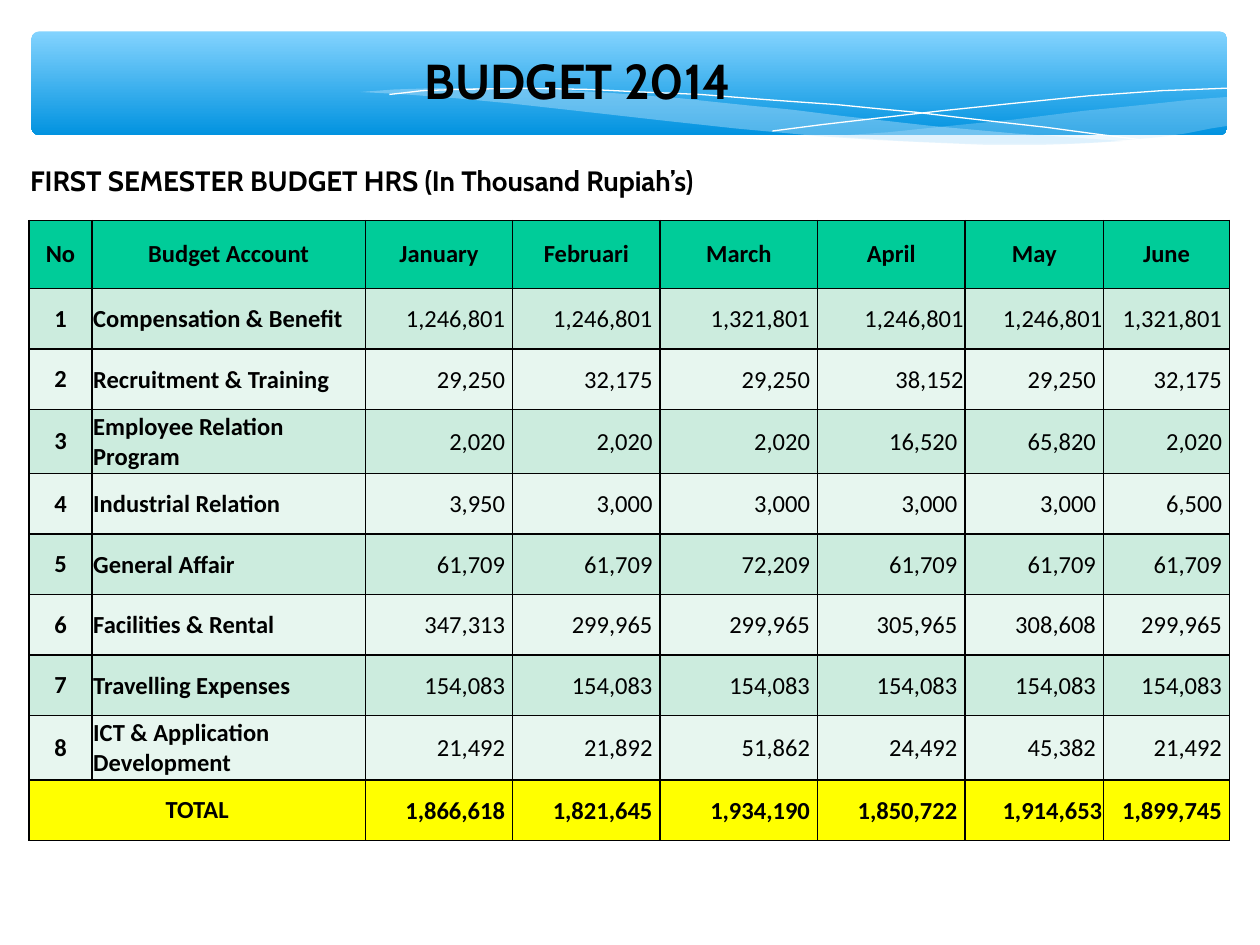
"""Build the first semester budget slide with its banner and monthly table."""
import lxml.etree
import pptx
import pptx.dml.color
import pptx.enum.shapes
import pptx.enum.text
import pptx.oxml.ns
import pptx.util

Inches = pptx.util.Inches
Pt = pptx.util.Pt
ALIGN = pptx.enum.text.PP_ALIGN
MIDDLE = pptx.enum.text.MSO_ANCHOR.MIDDLE
qn = pptx.oxml.ns.qn


def rgb(value):
    return pptx.dml.color.RGBColor.from_string(value)


def write(frame, text, font, size, align, bold=True):
    frame.word_wrap = True
    paragraph = frame.paragraphs[0]
    paragraph.text = text
    paragraph.alignment = align
    paragraph.font.name = font
    paragraph.font.size = Pt(size)
    paragraph.font.bold = bold
    paragraph.font.color.rgb = rgb("000000")


deck = pptx.Presentation()
deck.slide_width, deck.slide_height = Inches(10), Inches(7.5)
slide = deck.slides.add_slide(deck.slide_layouts[6])

banner = slide.shapes.add_shape(
    pptx.enum.shapes.MSO_SHAPE.ROUNDED_RECTANGLE,
    Inches(0.25), Inches(0.25), Inches(9.49), Inches(0.82))
banner.adjustments[0] = 0.07
banner.shadow.inherit = False
banner.line.fill.background()
banner.fill.gradient()
banner.fill.gradient_angle = 270
for stop, color, position in zip(banner.fill.gradient_stops, ("83D3FE", "0293E0"), (0, 1)):
    stop.color.rgb = rgb(color)
    stop.position = position

right_wave = [
    (9.74, 0.77), (9.47, 0.79), (9.19, 0.82), (8.9, 0.85), (8.6, 0.88), (8.04, 0.95),
    (7.53, 1), (7.05, 1.05), (6.61, 1.08), (6.91, 1.1), (7.18, 1.12), (7.44, 1.13),
    (7.68, 1.14), (8.02, 1.14), (8.43, 1.14), (8.71, 1.13), (8.96, 1.11), (9.19, 1.09),
    (9.41, 1.06), (9.61, 1.02), (9.74, 1)]
wide_wave = [
    (8.91, 1.12), (8.64, 1.1), (8.06, 1.06), (7.4, 1), (6.68, 0.92), (6.28, 0.87),
    (5.97, 0.84), (5.68, 0.81), (5.4, 0.78), (5.14, 0.76), (4.88, 0.74), (4.41, 0.71),
    (3.99, 0.7), (3.44, 0.7), (3.13, 0.71), (2.86, 0.73), (3.23, 0.75), (3.62, 0.78),
    (4.04, 0.82), (4.49, 0.87), (5.29, 0.96), (5.84, 1.02), (6.17, 1.05), (6.49, 1.08),
    (6.94, 1.11), (7.35, 1.13), (7.83, 1.15), (8.27, 1.15), (8.56, 1.14)]
falling_curve = [
    (3.09, 0.75), (3.18, 0.74), (3.35, 0.72), (3.63, 0.71), (4.16, 0.7), (4.68, 0.71),
    (5.09, 0.73), (5.56, 0.75), (6.07, 0.79), (6.35, 0.81), (6.64, 0.83), (6.94, 0.86),
    (7.26, 0.89), (7.59, 0.93), (7.94, 0.97), (8.3, 1.01), (8.67, 1.06), (9.06, 1.11)]
rising_curve = [
    (6.13, 1.04), (6.52, 0.99), (6.95, 0.94), (7.47, 0.88), (8.05, 0.82), (8.35, 0.79),
    (8.65, 0.76), (8.94, 0.74), (9.22, 0.72), (9.49, 0.71), (9.74, 0.7)]

for points, opacity in ((right_wave, 29), (wide_wave, 40),
                        (falling_curve, None), (rising_curve, None)):
    start, *rest = [(Inches(x), Inches(y)) for x, y in points]
    outline = slide.shapes.build_freeform(*start)
    outline.add_line_segments(rest, close=opacity is not None)
    swoosh = outline.convert_to_shape()
    swoosh.shadow.inherit = False
    if opacity is None:
        swoosh.fill.background()
        swoosh.line.color.rgb = rgb("FFFFFF")
        swoosh.line.width = Pt(0.75)
    else:
        swoosh.line.fill.background()
        swoosh.fill.solid()
        swoosh.fill.fore_color.rgb = rgb("C6E7FC")
        tint = swoosh.element.spPr.find(qn("a:solidFill"))[0]
        lxml.etree.SubElement(tint, qn("a:alpha"), val=str(opacity * 1000))

title = slide.shapes.add_textbox(Inches(0.25), Inches(0.17), Inches(8.67), Inches(0.92))
title.text_frame.vertical_anchor = MIDDLE
write(title.text_frame, "BUDGET 2014", "Cabin", 28, ALIGN.CENTER)

subtitle = slide.shapes.add_textbox(Inches(0.14), Inches(1.25), Inches(9.44), Inches(0.37))
write(subtitle.text_frame, "FIRST SEMESTER BUDGET HRS (In Thousand Rupiah’s)",
      "Cabin", 16, ALIGN.LEFT)

rows = [
    ["No", "Budget Account", "January", "Februari", "March", "April", "May", "June"],
    ["1", "Compensation & Benefit", "1,246,801", "1,246,801", "1,321,801", "1,246,801",
     "1,246,801", "1,321,801"],
    ["2", "Recruitment & Training", "29,250", "32,175", "29,250", "38,152", "29,250", "32,175"],
    ["3", "Employee Relation Program", "2,020", "2,020", "2,020", "16,520", "65,820", "2,020"],
    ["4", "Industrial Relation", "3,950", "3,000", "3,000", "3,000", "3,000", "6,500"],
    ["5", "General Affair", "61,709", "61,709", "72,209", "61,709", "61,709", "61,709"],
    ["6", "Facilities & Rental", "347,313", "299,965", "299,965", "305,965", "308,608",
     "299,965"],
    ["7", "Travelling Expenses", "154,083", "154,083", "154,083", "154,083", "154,083",
     "154,083"],
    ["8", "ICT & Application Development", "21,492", "21,892", "51,862", "24,492", "45,382",
     "21,492"],
    ["TOTAL", "", "1,866,618", "1,821,645", "1,934,190", "1,850,722", "1,914,653",
     "1,899,745"],
]
column_widths = [0.5, 2.17, 1.17, 1.17, 1.25, 1.17, 1.1, 1]
row_heights = [0.54, 0.48, 0.48, 0.51, 0.48, 0.48, 0.48, 0.48, 0.51, 0.48]
flush_right = {(1, 5), (1, 6), (2, 5), (9, 6)}
total_row = len(rows) - 1

budget = slide.shapes.add_table(
    len(rows), len(column_widths), Inches(0.23), Inches(1.75),
    Inches(sum(column_widths)), Inches(sum(row_heights))).table
for column, width in zip(budget.columns, column_widths):
    column.width = Inches(width)
for row, height in zip(budget.rows, row_heights):
    row.height = Inches(height)
budget.cell(total_row, 0).merge(budget.cell(total_row, 1))

for r, row in enumerate(rows):
    row_fill = {0: "00CC99", total_row: "FFFF00"}.get(r, "CCECDE" if r % 2 else "E7F6EF")
    for c, text in enumerate(row):
        cell = budget.cell(r, c)
        cell.vertical_anchor = MIDDLE
        align = ALIGN.CENTER
        if r > 0 and c > 0:
            align = ALIGN.LEFT if c == 1 else ALIGN.RIGHT
            cell.margin_left = cell.margin_top = Inches(0.01)
            cell.margin_bottom = 0
            padded = c > 1 and (r, c) not in flush_right
            cell.margin_right = Inches(0.06 if padded else 0.01)
        if not cell.is_spanned:
            write(cell.text_frame, text, "Calibri", 14, align,
                  bold=r in (0, total_row) or c < 2)
        properties = cell._tc.get_or_add_tcPr()
        for side in ("a:lnL", "a:lnR", "a:lnT", "a:lnB"):
            border = lxml.etree.SubElement(properties, qn(side), w=str(Pt(1)))
            ink = lxml.etree.SubElement(border, qn("a:solidFill"))
            lxml.etree.SubElement(ink, qn("a:srgbClr"), val="000000")
        cell.fill.solid()
        cell.fill.fore_color.rgb = rgb(row_fill)

deck.save("out.pptx")
